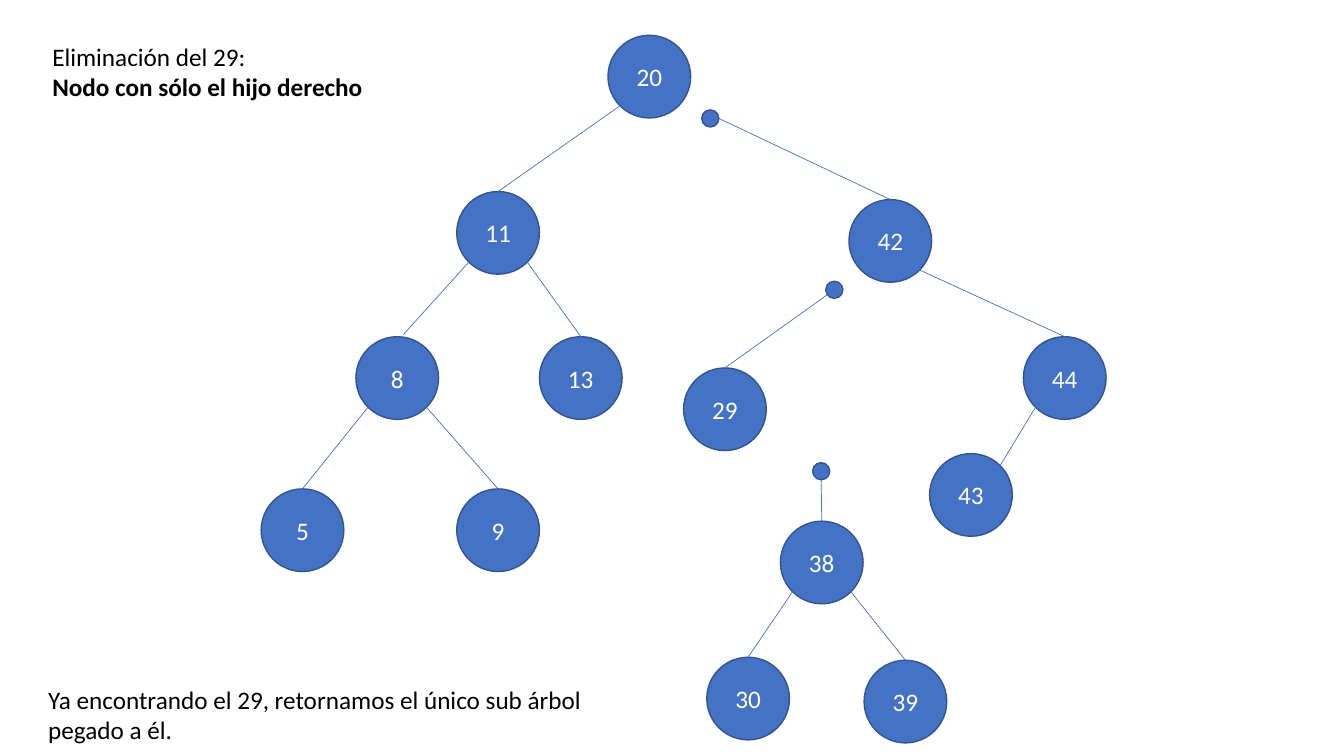
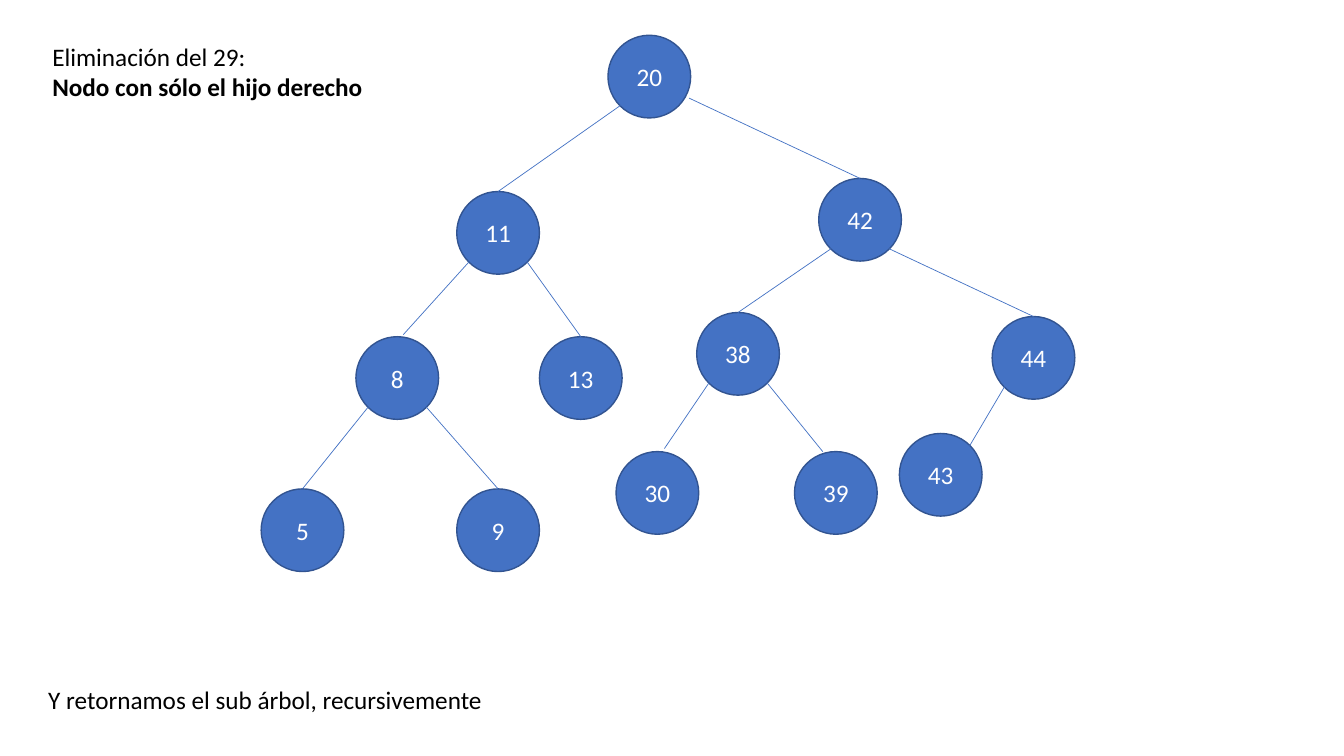
"""Builds two slides on deleting node 29 from a binary search tree."""
from lxml import etree
from pptx import Presentation
from pptx.dml.color import RGBColor
from pptx.enum import shapes, text
from pptx.oxml import ns
from pptx.util import Inches, Pt

FONT, SIZE = "Calibri", 18
BLUE, EDGE_BLUE, WHITE, BLACK = "4472C4", "325491", "FFFFFF", "000000"
NODE, DOT = 0.82, 0.17

TITLE = [("Eliminación del 29:", False), ("Nodo con sólo el hijo derecho", True)]

ANCHORS = {
    "top": (0.5, 0), "right": (1, 0.5), "bottom": (0.5, 1), "centre": (0.5, 0.5),
    "lower left": (0.15, 0.85), "lower right": (0.85, 0.85),
    "upper right": (0.85, 0.15), "right flank": (0.98, 0.76),
}

LEFT_NODES = {
    "20": (6.03, 0.35), "11": (4.53, 1.9), "8": (3.53, 3.34),
    "13": (5.35, 3.34), "5": (2.59, 4.85), "9": (4.53, 4.85),
}
# parent, parent anchor, child, child anchor, shift of the child end
LEFT_EDGES = [
    ("20", "lower left", "11", "top", (0, 0)),
    ("11", "lower left", "8", "top", (0.06, -0.02)),
    ("11", "lower right", "13", "top", (0, 0)),
    ("8", "lower left", "5", "top", (0, 0)),
    ("8", "lower right", "9", "top", (0, 0)),
]
RIGHT_EDGES = [
    ("42", "lower right", "44", "top", (0, 0)),
    ("44", "lower left", "43", "upper right", (0, 0)),
]

SLIDES = [
    {
        "nodes": {"42": (8.42, 1.98), "44": (10.15, 3.34), "29": (6.78, 3.65),
                  "38": (7.74, 5.17), "39": (8.57, 6.55), "30": (7.01, 6.52),
                  "43": (9.22, 4.5)},
        "dots": {"dot 42": (6.96, 1.09), "dot 29": (8.19, 2.79), "dot 38": (8.06, 4.59)},
        "edges": [
            ("dot 42", "right", "42", "top", (0, 0)),
            ("dot 29", "centre", "29", "top", (0, 0)),
            ("dot 38", "bottom", "38", "top", (0, 0)),
            ("38", "lower left", "30", "top", (0, 0)),
            ("38", "lower right", "39", "top", (0, 0)),
        ],
        "caption": "Ya encontrando el 29, retornamos el único sub árbol pegado a él.",
        "caption height": 0.71,
    },
    {
        "nodes": {"42": (8.12, 1.77), "44": (9.84, 3.14), "38": (6.91, 3.1),
                  "39": (7.88, 4.48), "30": (6.11, 4.48), "43": (8.92, 4.3)},
        "dots": {},
        "edges": [
            ("20", "right flank", "42", "top", (0, 0)),
            ("42", "lower left", "38", "top", (0, 0)),
            ("38", "lower left", "30", "top", (0.07, -0.03)),
            ("38", "lower right", "39", "top", (-0.13, 0)),
        ],
        "caption": "Y retornamos el sub árbol, recursivemente",
        "caption height": 0.4,
    },
]


def color(value):
    """Turn a hex string into a colour."""
    return RGBColor.from_string(value)


def style_text(para, value, bold=False):
    """Apply the shared font to a paragraph."""
    para.font.name, para.font.size, para.font.bold = FONT, Pt(SIZE), bold
    para.font.color.rgb = color(value)


def add_circle(page, at, size, label=""):
    """Draw a tree node or a small pointer dot."""
    circle = page.shapes.add_shape(
        shapes.MSO_SHAPE.OVAL, *(Inches(v) for v in (*at, size, size)))
    circle.shadow.inherit = False
    circle.fill.solid()
    circle.fill.fore_color.rgb = color(BLUE)
    circle.line.color.rgb = color(EDGE_BLUE)
    circle.line.width = Pt(1)
    if label:
        circle.text_frame.vertical_anchor = text.MSO_ANCHOR.MIDDLE
        para = circle.text_frame.paragraphs[0]
        para.text = label
        para.alignment = text.PP_ALIGN.CENTER
        style_text(para, WHITE)
    return circle


def add_edge(page, start, end):
    """Draw a thin line between two points."""
    edge = page.shapes.add_connector(
        shapes.MSO_CONNECTOR.STRAIGHT, *(Inches(v) for v in (*start, *end)))
    edge.line.color.rgb = color(BLUE)
    edge.line.width = Pt(0.5)
    etree.SubElement(edge._element.spPr, ns.qn("a:effectLst"))
    return edge


def add_text(page, at, lines):
    """Write lines, each with its own weight, in a text box."""
    frame = page.shapes.add_textbox(*(Inches(v) for v in at)).text_frame
    frame.word_wrap = True
    frame.auto_size = text.MSO_AUTO_SIZE.SHAPE_TO_FIT_TEXT
    for index, (words, bold) in enumerate(lines):
        para = frame.add_paragraph() if index else frame.paragraphs[0]
        para.text = words
        style_text(para, BLACK, bold)


def build_slide(deck, content):
    """Draw one state of the tree with its title and caption."""
    page = deck.slides.add_slide(deck.slide_layouts[6])
    nodes, dots = {**LEFT_NODES, **content["nodes"]}, content["dots"]
    places = {**nodes, **dots}

    def anchor(name, side, shift=(0, 0)):
        """Find a point on the outline of a circle."""
        size = DOT if name in dots else NODE
        return [p + size * f + s for p, f, s in zip(places[name], ANCHORS[side], shift)]

    circles = {label: add_circle(page, at, NODE, label) for label, at in nodes.items()}
    for parent, side, child, child_side, shift in LEFT_EDGES + RIGHT_EDGES + content["edges"]:
        edge = add_edge(page, anchor(parent, side), anchor(child, child_side, shift))
        if child_side == "top" and shift == (0, 0):
            edge.end_connect(circles[child], 0)
    for at in dots.values():
        add_circle(page, at, DOT)
    add_text(page, (0.42, 0.36, 3.58, 0.71), TITLE)
    add_text(page, (0.38, 6.74, 5.52, content["caption height"]), [(content["caption"], False)])


def main():
    """Build and save the deck."""
    deck = Presentation()
    deck.slide_width, deck.slide_height = Inches(13.33), Inches(7.5)
    for content in SLIDES:
        build_slide(deck, content)
    deck.save("out.pptx")


if __name__ == "__main__":
    main()
